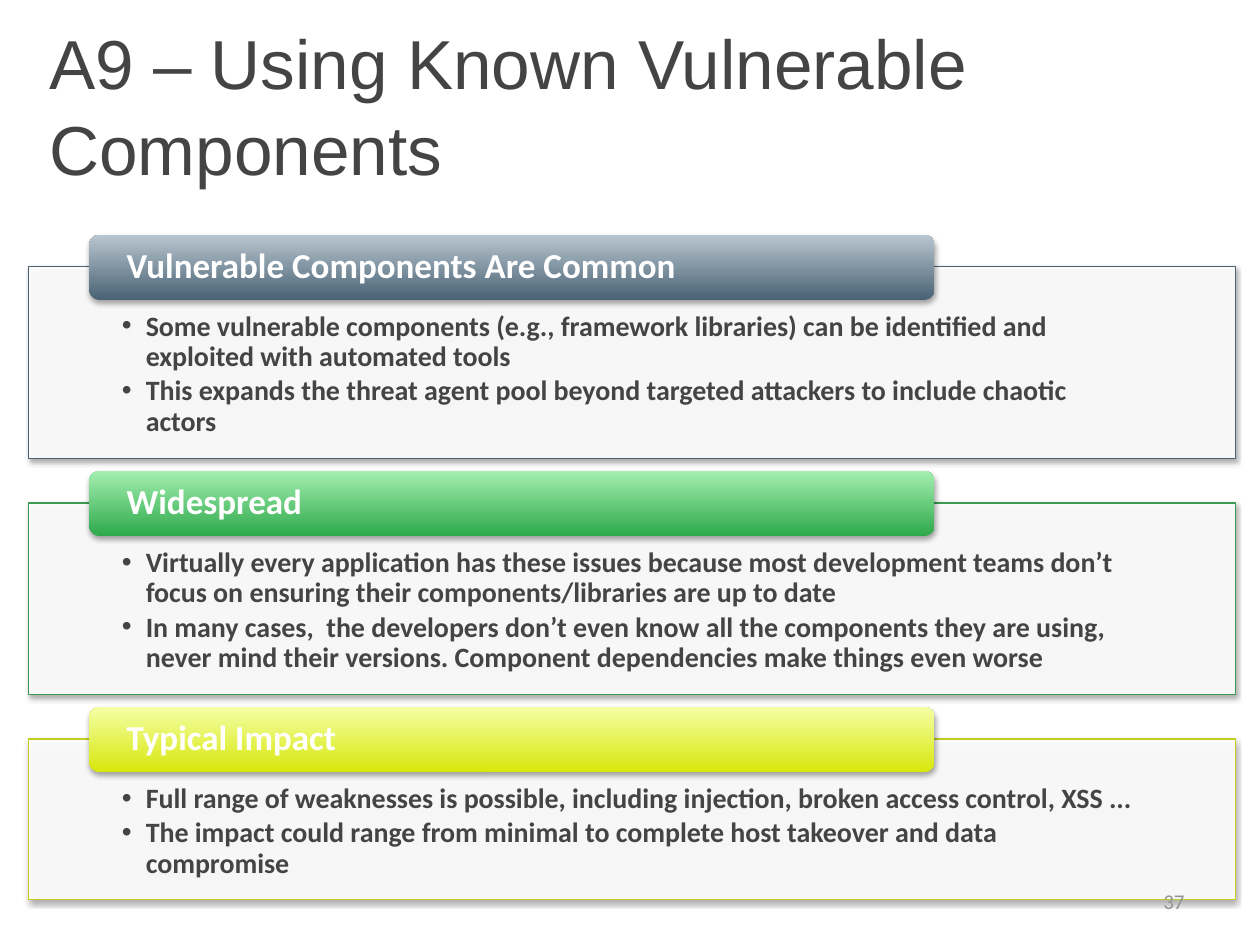
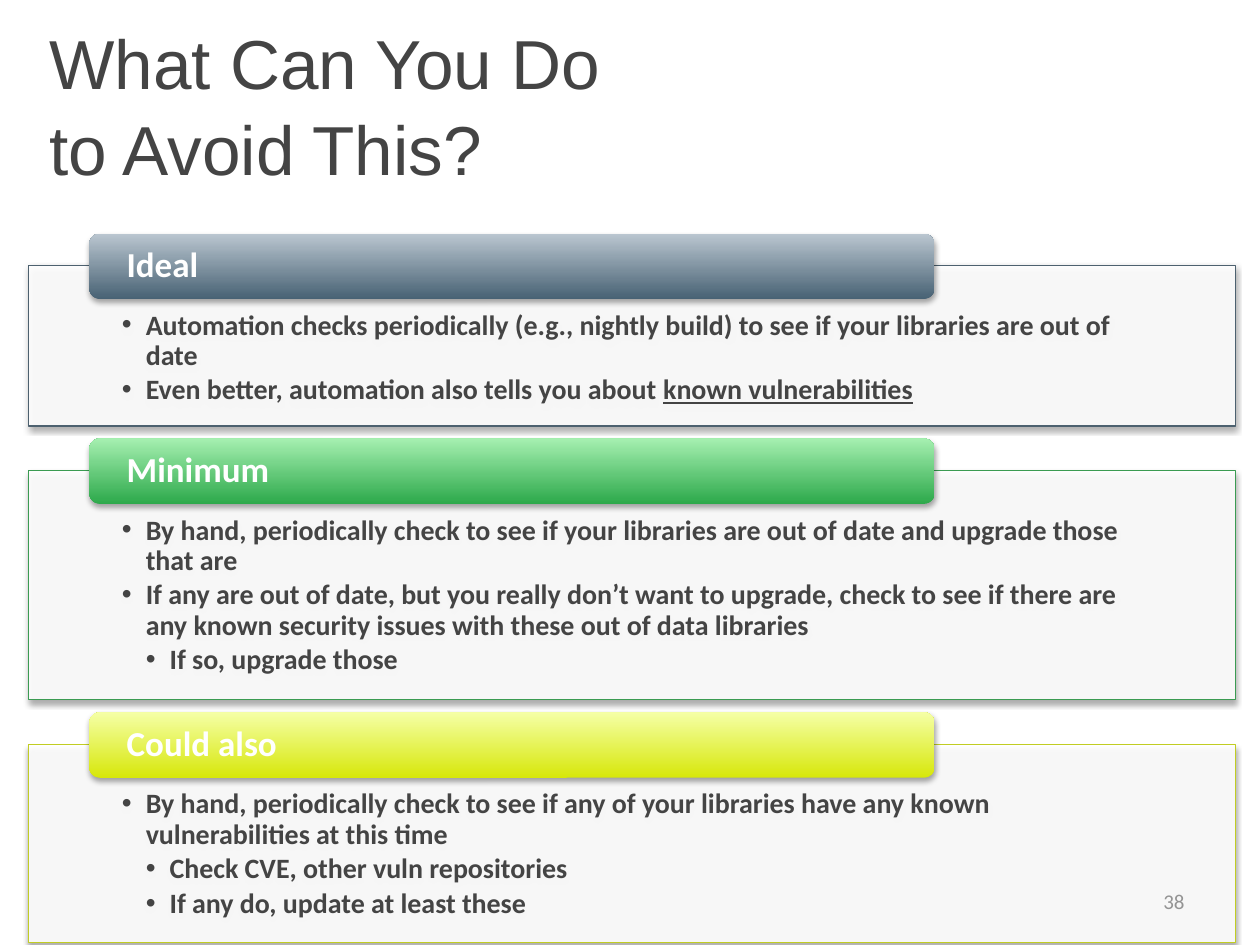
"""Build two slides on using components with known vulnerabilities."""
from dataclasses import dataclass
from typing import Any

from lxml import etree
from pptx import Presentation
from pptx import util as u
from pptx.dml.color import RGBColor
from pptx.enum import shapes, text
from pptx.oxml import ns

WHITE = RGBColor(0xFF, 0xFF, 0xFF)
INK = RGBColor(0x44, 0x44, 0x44)
GREY = RGBColor(0x94, 0x94, 0x94)

TITLE_FONT = {"name": "Arial", "size": u.Pt(39.6), "color": INK}
HEADING_FONT = {"name": "Calibri", "size": u.Pt(20), "bold": True, "color": WHITE}
POINT_FONT = {"name": "Calibri", "size": u.Pt(16), "bold": True, "color": INK}
NUMBER_FONT = {"name": "Calibri", "size": u.Pt(12), "color": GREY}

CARD_LEFT, CARD_WIDTH, CARD_GAP = u.Cm(0.58), u.Cm(24.33), u.Cm(0.9)
TAB_LEFT, TAB_WIDTH, TAB_HEIGHT, TAB_RISE = u.Cm(1.8), u.Cm(17.04), u.Cm(1.32), u.Cm(0.65)
INDENT = u.Cm(0.48)


@dataclass(frozen=True)
class Theme:
    line: RGBColor
    dark: RGBColor
    light: RGBColor


@dataclass(frozen=True)
class Point:
    text: str
    level: int = 1
    underlined: str = ""


@dataclass(frozen=True)
class Card:
    heading: str
    height: u.Cm
    points: tuple[Point, ...]


@dataclass(frozen=True)
class Page:
    number: int
    title: str
    top: u.Cm
    cards: tuple[Card, ...]


THEMES = (
    Theme(RGBColor(0x4D, 0x61, 0x6F), RGBColor(0x48, 0x62, 0x74), RGBColor(0xBA, 0xC6, 0xD0)),
    Theme(RGBColor(0x3B, 0x9B, 0x52), RGBColor(0x2D, 0xA9, 0x4B), RGBColor(0xA5, 0xEF, 0xB0)),
    Theme(RGBColor(0xC1, 0xCD, 0x23), RGBColor(0xD7, 0xE7, 0x0A), RGBColor(0xF5, 0xFF, 0xA6)),
)

PAGES = (
    Page(37, "A9 – Using Known Vulnerable Components", u.Cm(5.38), (
        Card("Vulnerable Components Are Common", u.Cm(3.86), (
            Point("Some vulnerable components (e.g., framework libraries) can be identified "
                  "and exploited with automated tools"),
            Point("This expands the threat agent pool beyond targeted attackers to include "
                  "chaotic actors"),
        )),
        Card("Widespread", u.Cm(3.86), (
            Point("Virtually every application has these issues because most development teams "
                  "don’t focus on ensuring their components/libraries are up to date"),
            Point("In many cases,  the developers don’t even know all the components they are "
                  "using, never mind their versions. Component dependencies make things even worse"),
        )),
        Card("Typical Impact", u.Cm(3.23), (
            Point("Full range of weaknesses is possible, including injection, broken access "
                  "control, XSS ..."),
            Point("The impact could range from minimal to complete host takeover and data "
                  "compromise"),
        )),
    )),
    Page(38, "What Can You Do\vto Avoid This?", u.Cm(5.36), (
        Card("Ideal", u.Cm(3.23), (
            Point("Automation checks periodically (e.g., nightly build) to see if your libraries "
                  "are out of date"),
            Point("Even better, automation also tells you about ",
                  underlined="known vulnerabilities"),
        )),
        Card("Minimum", u.Cm(4.62), (
            Point("By hand, periodically check to see if your libraries are out of date and "
                  "upgrade those that are"),
            Point("If any are out of date, but you really don’t want to upgrade, check to see if "
                  "there are any known security issues with these out of data libraries"),
            Point("If so, upgrade those", 2),
        )),
        Card("Could also", u.Cm(3.99), (
            Point("By hand, periodically check to see if any of your libraries have any known "
                  "vulnerabilities at this time"),
            Point("Check CVE, other vuln repositories", 2),
            Point("If any do, update at least these", 2),
        )),
    )),
)


def apply(target: Any, formats: dict[str, Any]) -> None:
    """Set each attribute of the target, sending a colour to its RGB value."""
    for name, value in formats.items():
        if name == "color":
            target.color.rgb = value
        else:
            setattr(target, name, value)


def add_run(p: Any, words: str, font: dict[str, Any]) -> None:
    """Append a formatted run to a paragraph."""
    r = p.add_run()
    r.text = words
    apply(r.font, font)


def add_shadow(sp: Any) -> None:
    """Give a shape a soft shadow below it."""
    sp.shadow.inherit = False
    effects = sp._element.spPr.find(ns.qn("a:effectLst"))
    shadow = etree.SubElement(effects, ns.qn("a:outerShdw"), blurRad="40000", dist="23000",
                              dir="5400000", rotWithShape="0")
    color = etree.SubElement(shadow, ns.qn("a:srgbClr"), val="000000")
    etree.SubElement(color, ns.qn("a:alpha"), val="35000")


def add_point(p: Any, point: Point) -> None:
    """Write one bulleted point."""
    pPr = p._p.get_or_add_pPr()
    pPr.set("marL", str(INDENT * point.level))
    pPr.set("indent", str(-INDENT))
    etree.SubElement(pPr, ns.qn("a:buFont"), typeface="Arial")
    etree.SubElement(pPr, ns.qn("a:buChar"), char="•")
    apply(p, {"level": point.level, "alignment": text.PP_ALIGN.LEFT,
              "line_spacing": 0.9, "space_after": u.Pt(2.5)})
    add_run(p, point.text, POINT_FONT)
    if point.underlined:
        add_run(p, point.underlined, POINT_FONT | {"underline": True})


def add_panel(s: Any, top: int, card: Card, theme: Theme) -> None:
    """Draw the outlined panel with its list of points."""
    sp = s.shapes.add_shape(shapes.MSO_SHAPE.RECTANGLE, CARD_LEFT, top, CARD_WIDTH, card.height)
    sp.fill.solid()
    sp.fill.fore_color.rgb = WHITE
    fill = sp._element.spPr.find(ns.qn("a:solidFill"))
    etree.SubElement(fill[0], ns.qn("a:alpha"), val="90000")
    apply(sp.line, {"color": theme.line, "width": u.Pt(0.75)})
    add_shadow(sp)
    tf = sp.text_frame
    apply(tf, {"word_wrap": True, "vertical_anchor": text.MSO_ANCHOR.TOP,
               "margin_left": u.Cm(1.88), "margin_right": u.Cm(1.88),
               "margin_top": u.Cm(0.91), "margin_bottom": u.Cm(0.3)})
    for i, point in enumerate(card.points):
        add_point(tf.add_paragraph() if i else tf.paragraphs[0], point)


def add_tab(s: Any, top: int, heading: str, theme: Theme) -> None:
    """Draw the rounded heading that overlaps the top of a panel."""
    sp = s.shapes.add_shape(shapes.MSO_SHAPE.ROUNDED_RECTANGLE, TAB_LEFT, top - TAB_RISE,
                            TAB_WIDTH, TAB_HEIGHT)
    sp.fill.gradient()
    sp.fill.gradient_angle = 90
    for stop, color in zip(sp.fill.gradient_stops, (theme.dark, theme.light)):
        stop.color.rgb = color
    sp.line.fill.background()
    add_shadow(sp)
    tf = sp.text_frame
    apply(tf, {"word_wrap": True, "vertical_anchor": text.MSO_ANCHOR.MIDDLE,
               "margin_left": u.Cm(0.69), "margin_right": u.Cm(0.69),
               "margin_top": 0, "margin_bottom": 0})
    p = tf.paragraphs[0]
    apply(p, {"alignment": text.PP_ALIGN.LEFT, "line_spacing": 0.9})
    add_run(p, heading, HEADING_FONT)


def add_title(s: Any, title: str) -> None:
    """Place and fill the title placeholder."""
    sp = s.shapes.title
    apply(sp, {"left": u.Cm(0.74), "top": u.Cm(0.71), "width": u.Cm(23.93), "height": u.Cm(2.74)})
    tf = sp.text_frame
    tf.text = title
    apply(tf, {"word_wrap": True, "auto_size": text.MSO_AUTO_SIZE.NONE,
               "vertical_anchor": text.MSO_ANCHOR.MIDDLE})
    p = tf.paragraphs[0]
    apply(p, {"alignment": text.PP_ALIGN.LEFT, "line_spacing": 1.04})
    for r in p.runs:
        apply(r.font, TITLE_FONT)


def add_number(s: Any, number: int) -> None:
    """Write the page number at the lower right."""
    tf = s.shapes.add_textbox(u.Cm(18.21), u.Cm(17.65), u.Cm(5.92), u.Cm(1.02)).text_frame
    apply(tf, {"word_wrap": True, "vertical_anchor": text.MSO_ANCHOR.MIDDLE})
    p = tf.paragraphs[0]
    p.alignment = text.PP_ALIGN.RIGHT
    add_run(p, str(number), NUMBER_FONT)


def add_page(prs: Any, page: Page) -> None:
    """Add a slide with its title, stacked cards and number."""
    s = prs.slides.add_slide(prs.slide_layouts[5])
    add_title(s, page.title)
    top = page.top
    for card, theme in zip(page.cards, THEMES):
        add_panel(s, top, card, theme)
        add_tab(s, top, card.heading, theme)
        top += card.height + CARD_GAP
    add_number(s, page.number)


def main() -> None:
    """Build and save the presentation."""
    prs = Presentation()
    apply(prs, {"slide_width": u.Cm(25.4), "slide_height": u.Cm(19.05)})
    for page in PAGES:
        add_page(prs, page)
    prs.save("out.pptx")


if __name__ == "__main__":
    main()
